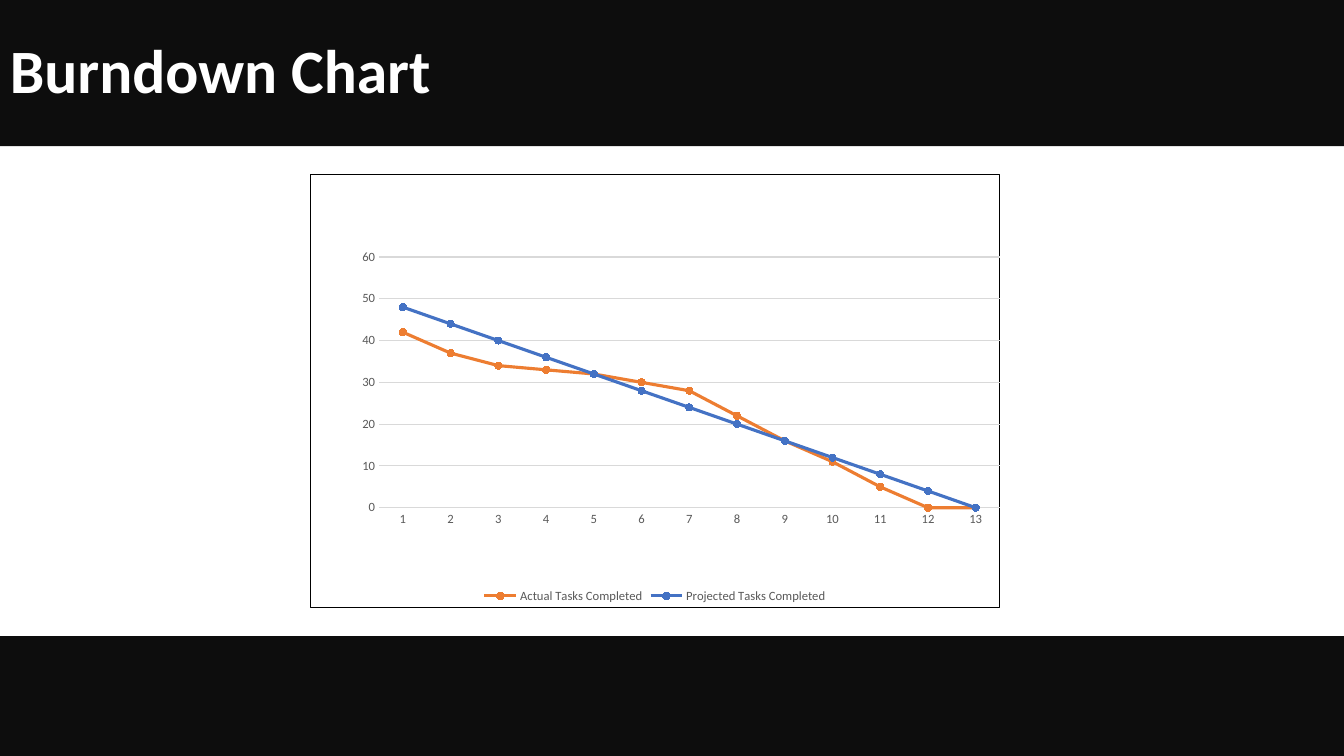
from lxml import etree
from pptx import Presentation
from pptx.chart.data import CategoryChartData
from pptx.dml.color import RGBColor
from pptx.enum.chart import XL_CHART_TYPE, XL_LEGEND_POSITION, XL_MARKER_STYLE, XL_TICK_MARK
from pptx.enum.shapes import MSO_SHAPE
from pptx.enum.text import MSO_ANCHOR, PP_ALIGN
from pptx.oxml import parse_xml
from pptx.oxml.ns import nsdecls, qn
from pptx.util import Inches, Pt

LINE_MARKERS = XL_CHART_TYPE.LINE_MARKERS
LEGEND_BOTTOM = XL_LEGEND_POSITION.BOTTOM
CIRCLE = XL_MARKER_STYLE.CIRCLE
NO_TICK = XL_TICK_MARK.NONE
RECTANGLE = MSO_SHAPE.RECTANGLE
MIDDLE = MSO_ANCHOR.MIDDLE
LEFT = PP_ALIGN.LEFT

BLACK = RGBColor(0x00, 0x00, 0x00)
WHITE = RGBColor(0xFF, 0xFF, 0xFF)
BAND = RGBColor(0x0D, 0x0D, 0x0D)
LABEL_GREY = RGBColor(0x59, 0x59, 0x59)
GRID_GREY = RGBColor(0xD9, 0xD9, 0xD9)
ORANGE = RGBColor(0xED, 0x7D, 0x31)
BLUE = RGBColor(0x44, 0x72, 0xC4)

FONT = "Calibri"
SLIDE_WIDTH = Inches(13.33)
SLIDE_HEIGHT = Inches(7.5)

ACTUAL = [42, 37, 34, 33, 32, 30, 28, 22, 16, 11, 5, 0, 0]
PROJECTED = list(range(48, -1, -4))
SERIES = [
    ("Actual Tasks Completed", ACTUAL, ORANGE),
    ("Projected Tasks Completed", PROJECTED, BLUE),
]
PLOT_AREA = {"x": 0.1, "y": 0.19, "w": 0.9, "h": 0.58}


def style_font(font, size, color, bold=False):
    font.name = FONT
    font.size = Pt(size)
    font.bold = bold
    font.color.rgb = color


def style_line(line, color, width):
    line.color.rgb = color
    line.width = Pt(width)


def add_band(slide, top, height):
    """Add a dark bar across the full slide width."""
    band = slide.shapes.add_shape(RECTANGLE, 0, top, SLIDE_WIDTH, height)
    band.shadow.inherit = False
    band.fill.solid()
    band.fill.fore_color.rgb = BAND
    band.line.fill.background()
    return band


def write_text(shape, text, *, size, color, bold=False, align=LEFT, spacing=1.0):
    frame = shape.text_frame
    frame.word_wrap = True
    frame.vertical_anchor = MIDDLE
    paragraph = frame.paragraphs[0]
    paragraph.alignment = align
    paragraph.line_spacing = spacing
    run = paragraph.add_run()
    run.text = text
    style_font(run.font, size, color, bold)


def place_plot_area(chart, fractions):
    """Fix the inner plot area, given as fractions of the chart frame."""
    plot_area = chart.element.find(".//" + qn("c:plotArea"))
    for layout in plot_area.findall(qn("c:layout")):
        plot_area.remove(layout)
    layout = parse_xml(f"<c:layout {nsdecls('c')}/>")
    manual = etree.SubElement(layout, qn("c:manualLayout"))
    settings = {"layoutTarget": "inner", "xMode": "edge", "yMode": "edge", **fractions}
    for tag, value in settings.items():
        etree.SubElement(manual, qn("c:" + tag)).set("val", str(value))
    plot_area.insert(0, layout)


def add_chart_border(chart, color, width):
    border = parse_xml(
        f"<c:spPr {nsdecls('c', 'a')}><a:noFill/><a:ln w='{Pt(width)}'>"
        f"<a:solidFill><a:srgbClr val='{color}'/></a:solidFill></a:ln></c:spPr>"
    )
    chart.element.find(qn("c:chart")).addnext(border)


def style_axis(axis):
    axis.major_tick_mark = NO_TICK
    axis.minor_tick_mark = NO_TICK
    style_font(axis.tick_labels.font, 9, LABEL_GREY)


def style_series(series, color):
    series.smooth = False
    style_line(series.format.line, color, 2.25)
    marker = series.marker
    marker.style = CIRCLE
    marker.size = 5
    marker.format.fill.solid()
    marker.format.fill.fore_color.rgb = color
    style_line(marker.format.line, color, 0.75)


def add_burndown_chart(slide):
    data = CategoryChartData(number_format="General")
    data.categories = [str(number) for number in range(1, len(ACTUAL) + 1)]
    for name, values, _ in SERIES:
        data.add_series(name, values)
    chart = slide.shapes.add_chart(
        LINE_MARKERS, Inches(3.07), Inches(1.73), Inches(6.85), Inches(4.3), data
    ).chart
    style_font(chart.font, 10, BLACK)
    chart.has_title = False

    chart.has_legend = True
    chart.legend.position = LEGEND_BOTTOM
    chart.legend.include_in_layout = False
    style_font(chart.legend.font, 9, LABEL_GREY)

    tasks, days = chart.value_axis, chart.category_axis
    for axis in (tasks, days):
        style_axis(axis)
    style_line(days.format.line, GRID_GREY, 0.75)
    tasks.format.line.fill.background()
    tasks.minimum_scale, tasks.maximum_scale, tasks.major_unit = 0, 60, 10
    tasks.has_major_gridlines = True
    style_line(tasks.major_gridlines.format.line, GRID_GREY, 0.75)

    plot = chart.plots[0]
    plot.vary_by_categories = False
    for series, (_, _, color) in zip(plot.series, SERIES):
        style_series(series, color)
    place_plot_area(chart, PLOT_AREA)
    add_chart_border(chart, BLACK, 0.75)


def main():
    deck = Presentation()
    deck.slide_width = SLIDE_WIDTH
    deck.slide_height = SLIDE_HEIGHT
    slide = deck.slides.add_slide(deck.slide_layouts[6])

    header = add_band(slide, 0, Inches(1.45))
    write_text(header, "Burndown Chart", size=44, color=WHITE, bold=True, spacing=0.9)
    add_burndown_chart(slide)
    add_band(slide, Inches(6.31), Inches(1.19))

    deck.save("out.pptx")


if __name__ == "__main__":
    main()
